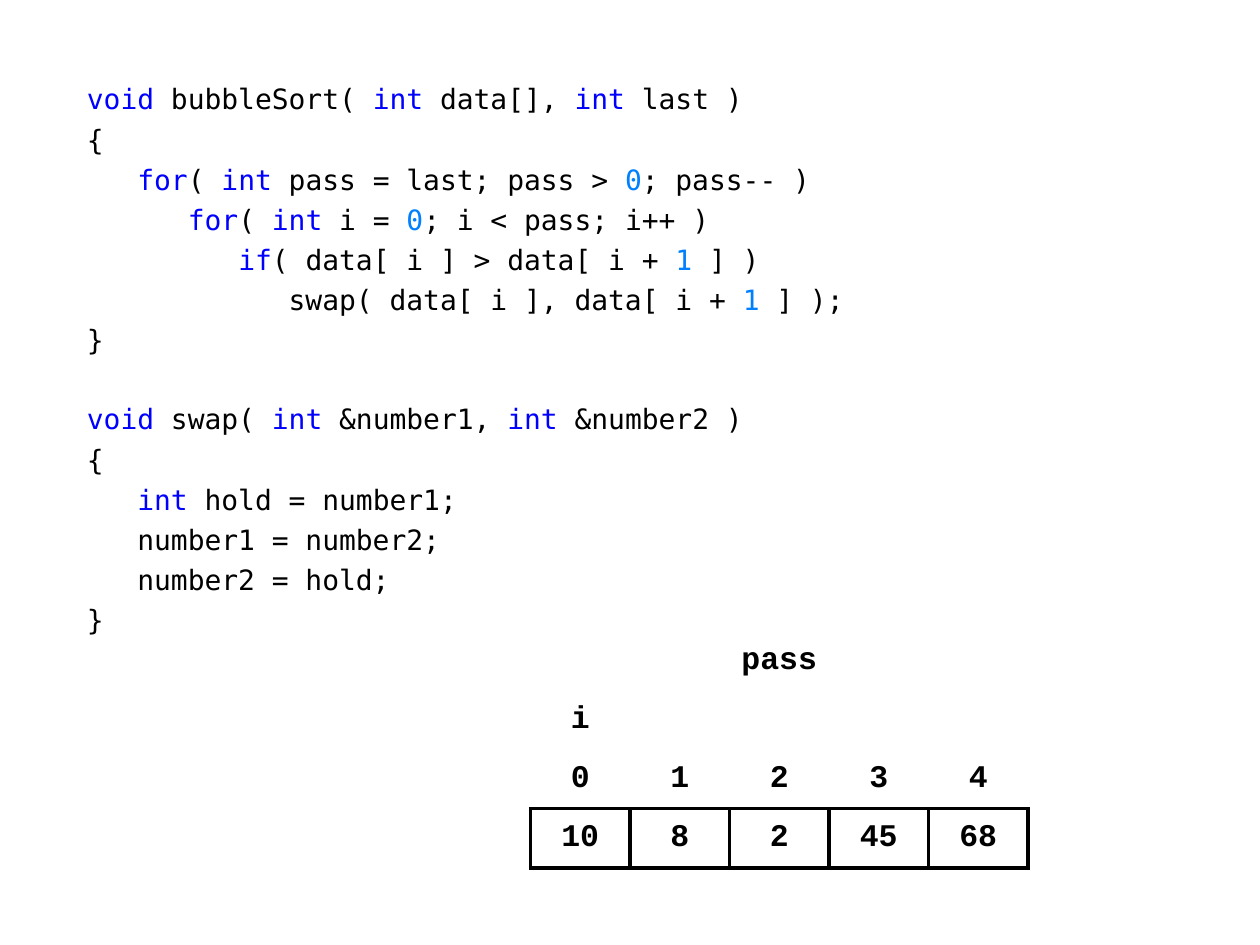
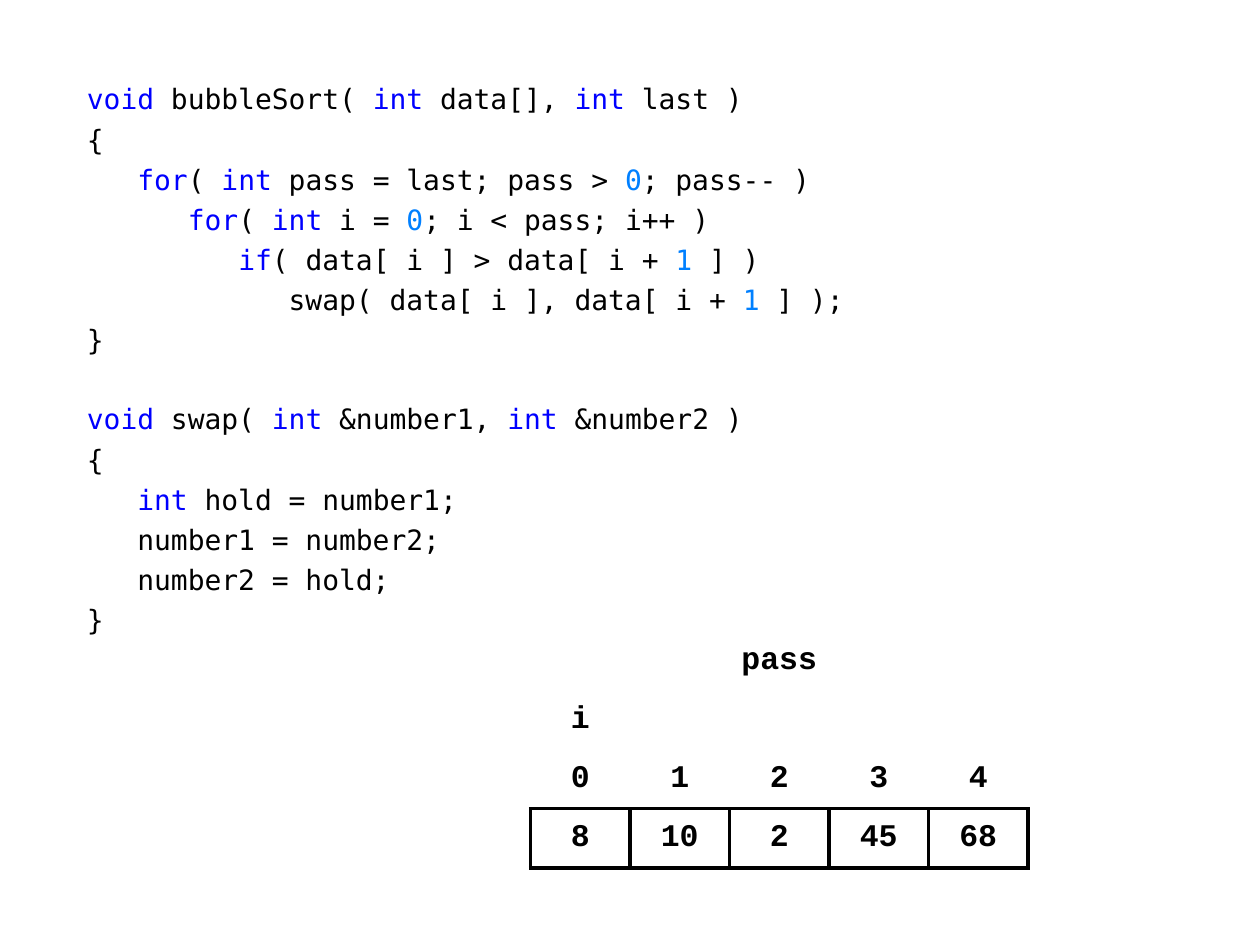
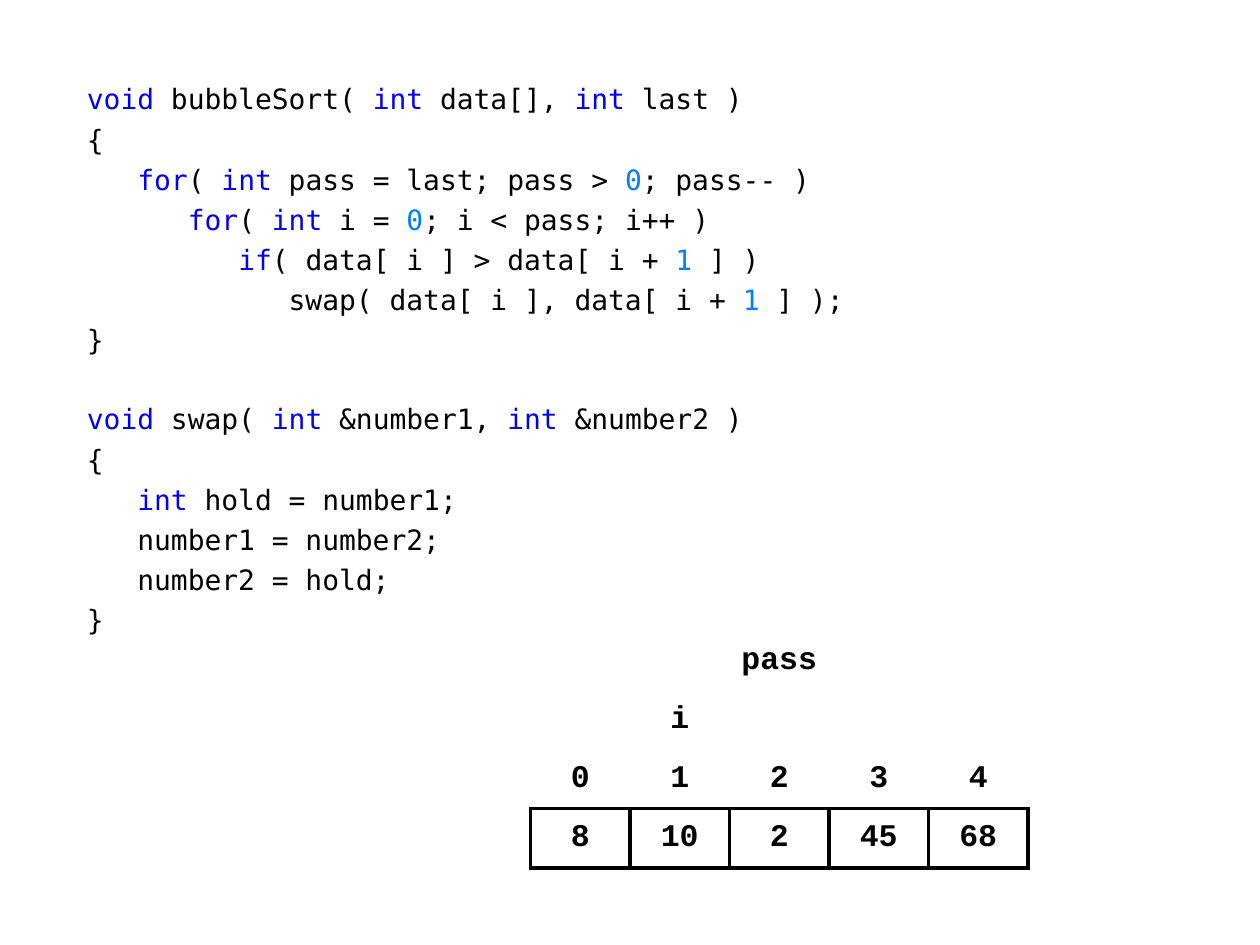
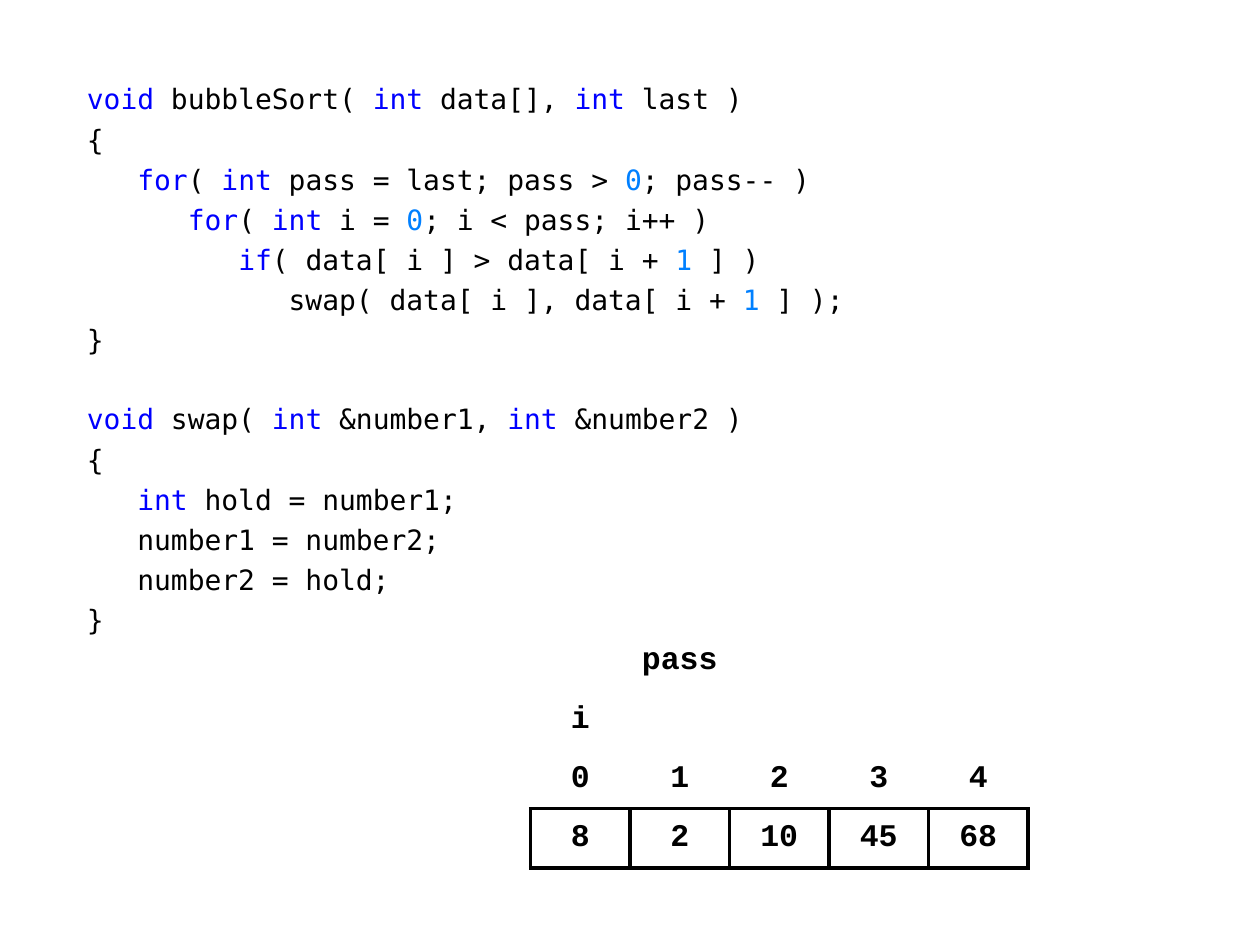
from lxml import etree
from pptx import Presentation
from pptx.dml.color import RGBColor
from pptx.enum.text import MSO_ANCHOR, MSO_AUTO_SIZE, PP_ALIGN
from pptx.oxml import parse_xml
from pptx.oxml.ns import nsdecls, qn
from pptx.util import Inches, Pt

MIDDLE = MSO_ANCHOR.MIDDLE
TOP = MSO_ANCHOR.TOP
NO_AUTOFIT = MSO_AUTO_SIZE.NONE
LEFT = PP_ALIGN.LEFT
CENTER = PP_ALIGN.CENTER

# Shared look
CODE_FONT = "DejaVu Sans Mono"
TABLE_FONT = "Courier New"
BLACK = "000000"
WHITE = "FFFFFF"
KEYWORD_BLUE = "0000FF"
NUMBER_BLUE = "0080FF"
PLAIN_TABLE_STYLE = "{2D5ABB26-0587-4C30-8999-92F81FD0307C}"

COLUMN_WIDTH = 0.79
ROW_HEIGHT = 0.47
LINE_GAP = Pt(3.75)
FUNCTION_GAP = Pt(26.1)

# Backticks enclose the coloured keywords and numbers
FUNCTIONS = [
    """`void` bubbleSort( `int` data[], `int` last )
{
   `for`( `int` pass = last; pass > `0`; pass-- )
      `for`( `int` i = `0`; i < pass; i++ )
         `if`( data[ i ] > data[ i + `1` ] )
            swap( data[ i ], data[ i + `1` ] );
}""",
    """`void` swap( `int` &number1, `int` &number2 )
{
   `int` hold = number1;
   number1 = number2;
   number2 = hold;
}""",
]

# Column of "pass", column of "i", array values
STEPS = [
    (2, 0, [10, 8, 2, 45, 68]),
    (2, 0, [8, 10, 2, 45, 68]),
    (2, 1, [8, 10, 2, 45, 68]),
    (1, 0, [8, 2, 10, 45, 68]),
]


def color(hex_value):
    return RGBColor.from_string(hex_value)


def add_run(paragraph, text, font_name, size, hex_value, bold=False):
    run = paragraph.add_run()
    run.text = text
    run.font.name = font_name
    run.font.size = Pt(size)
    run.font.bold = bold
    run.font.color.rgb = color(hex_value)


presentation = Presentation()
presentation.slide_width = Inches(10)
presentation.slide_height = Inches(7.5)
layout = presentation.slide_layouts[1]

for pass_column, i_column, values in STEPS:
    slide = presentation.slides.add_slide(layout)
    title = slide.shapes.title
    title.element.getparent().remove(title.element)

    # Code listing
    code = slide.placeholders[1]
    code.left, code.top = Inches(0.59), Inches(0.6)
    code.width, code.height = Inches(8.82), Inches(4.57)
    frame = code.text_frame
    frame.word_wrap = True
    frame.auto_size = NO_AUTOFIT
    frame.vertical_anchor = TOP
    paragraph = None
    for function in FUNCTIONS:
        for line_number, line in enumerate(function.split("\n")):
            if paragraph is None:
                paragraph = frame.paragraphs[0]
                gap = Pt(0)
            else:
                paragraph = frame.add_paragraph()
                gap = LINE_GAP if line_number else FUNCTION_GAP
            properties = paragraph._p.get_or_add_pPr()
            properties.set("marL", "0")
            properties.set("indent", "0")
            etree.SubElement(properties, qn("a:buNone"))
            paragraph.alignment = LEFT
            paragraph.space_before = gap
            for position, text in enumerate(line.split("`")):
                if not text:
                    continue
                hex_value = BLACK
                if position % 2:
                    hex_value = NUMBER_BLUE if text.isdigit() else KEYWORD_BLUE
                add_run(paragraph, text, CODE_FONT, 16, hex_value)

    # Array table: two marker rows, the indices and the values
    count = len(values)
    rows = [
        ["pass" if column == pass_column else "" for column in range(count)],
        ["i" if column == i_column else "" for column in range(count)],
        list(range(count)),
        values,
    ]
    table = slide.shapes.add_table(
        len(rows), count, Inches(4.21), Inches(5.01),
        Inches(COLUMN_WIDTH * count), Inches(ROW_HEIGHT * len(rows))).table
    table.first_row = False
    table.horz_banding = False
    table._tbl.tblPr.find(qn("a:tableStyleId")).text = PLAIN_TABLE_STYLE
    for column in table.columns:
        column.width = Inches(COLUMN_WIDTH)

    borders_by_row = [[], [], ["lnB"], ["lnL", "lnR", "lnT", "lnB"]]
    for row_number, row in enumerate(rows):
        table.rows[row_number].height = Inches(ROW_HEIGHT)
        for column_number, text in enumerate(row):
            cell = table.cell(row_number, column_number)
            cell.vertical_anchor = MIDDLE
            cell.margin_left = cell.margin_right = Inches(0.04)
            cell.margin_top = cell.margin_bottom = Inches(0.05)
            for side in borders_by_row[row_number]:
                cell._tc.get_or_add_tcPr().append(parse_xml(
                    f'<a:{side} {nsdecls("a")} w="{Pt(2.25)}"><a:solidFill>'
                    f'<a:srgbClr val="{BLACK}"/></a:solidFill></a:{side}>'))
            if row is values and column_number > 0:
                cell.fill.solid()
                cell.fill.fore_color.rgb = color(WHITE)
            else:
                cell.fill.background()
            if text != "":
                paragraph = cell.text_frame.paragraphs[0]
                paragraph.alignment = CENTER
                add_run(paragraph, str(text), TABLE_FONT, 18, BLACK, bold=True)

presentation.save("out.pptx")
